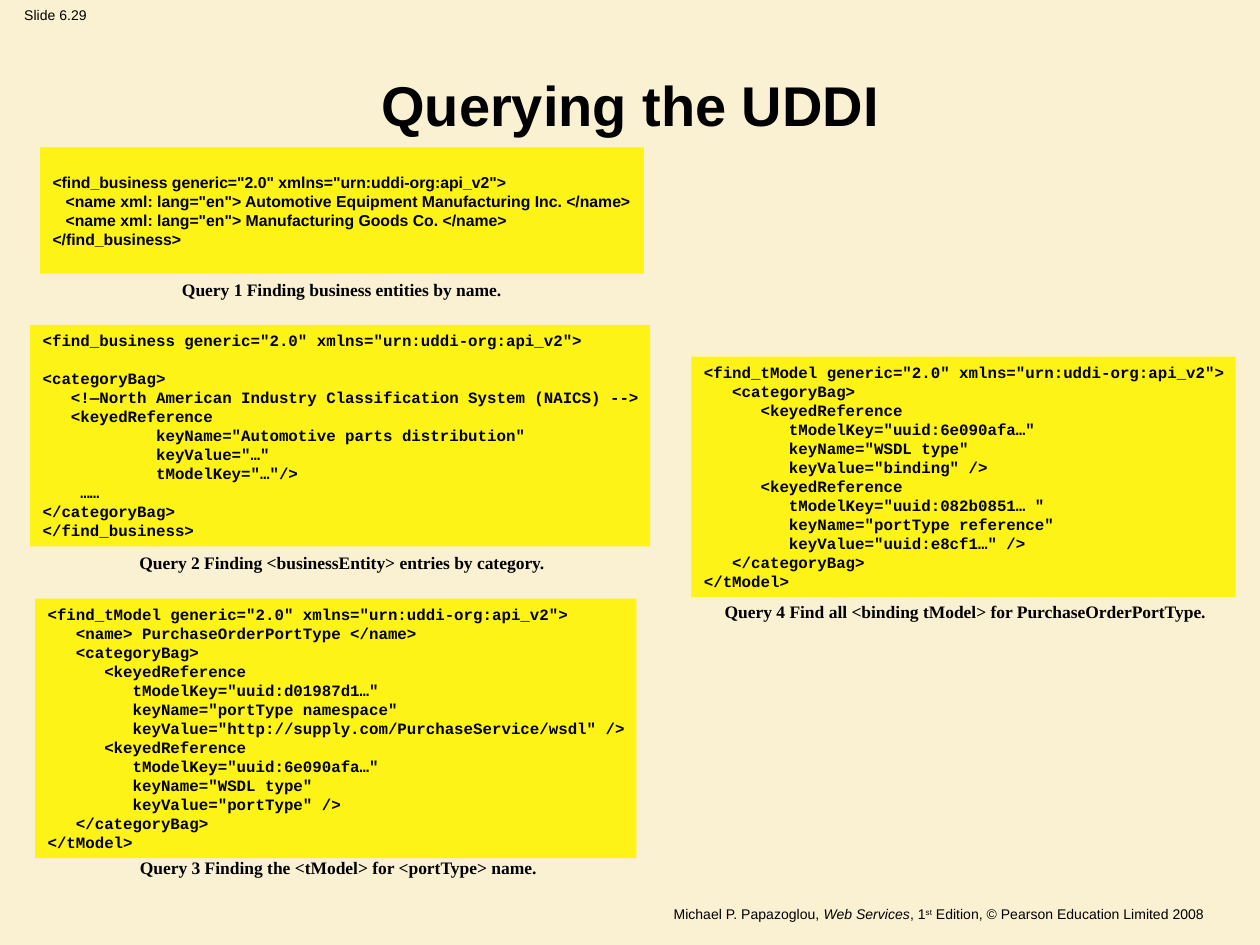
import pptx
import pptx.dml.color
import pptx.enum.shapes
import pptx.enum.text
import pptx.util
from pptx.util import Cm

PP_ALIGN = pptx.enum.text.PP_ALIGN
ANCHOR = pptx.enum.text.MSO_ANCHOR

# Content
TITLE = "Querying the UDDI"
SLIDE_LABEL = "Slide 6.29"
# (text, italic, superscript)
CREDIT = [
    ("Michael P. Papazoglou, ", False, False),
    ("Web Services", True, False),
    (", 1", False, False),
    ("st", False, True),
    (" Edition, © Pearson Education Limited 2008", False, False),
]
# Positions in cm; rows is the box height in code lines
QUERIES = [
    {
        "left": 0.81, "top": 2.97, "width": 12.17, "rows": 6, "font": "Arial",
        "code": """\
<find_business generic="2.0" xmlns="urn:uddi-org:api_v2">
   <name xml: lang="en"> Automotive Equipment Manufacturing Inc. </name>
   <name xml: lang="en"> Manufacturing Goods Co. </name>
</find_business>""",
        "caption": "Query 1 Finding business entities by name.",
        "caption_box": (3.38, 5.51, 7.01),
    },
    {
        "left": 0.61, "top": 6.55, "width": 12.5, "rows": 11, "font": "Courier New",
        "code": """\
<find_business generic="2.0" xmlns="urn:uddi-org:api_v2">

<categoryBag>
   <!—North American Industry Classification System (NAICS) -->
   <keyedReference
            keyName="Automotive parts distribution"
            keyValue="…"
            tModelKey="…"/>
    ……
</categoryBag>
</find_business>""",
        "caption": "Query 2 Finding <businessEntity> entries by category.",
        "caption_box": (2.51, 11.0, 8.76),
    },
    {
        "left": 0.71, "top": 12.07, "width": 12.12, "rows": 13, "font": "Courier New",
        "code": """\
<find_tModel generic="2.0" xmlns="urn:uddi-org:api_v2">
   <name> PurchaseOrderPortType </name>
   <categoryBag>
      <keyedReference
         tModelKey="uuid:d01987d1…"
         keyName="portType namespace"
         keyValue="http://supply.com/PurchaseService/wsdl" />
      <keyedReference
         tModelKey="uuid:6e090afa…"
         keyName="WSDL type"
         keyValue="portType" />
   </categoryBag>
</tModel>""",
        "caption": "Query 3 Finding the <tModel> for <portType> name.",
        "caption_box": (2.51, 17.15, 8.61),
    },
    {
        "left": 13.94, "top": 7.19, "width": 10.97, "rows": 12, "font": "Courier New",
        "code": """\
<find_tModel generic="2.0" xmlns="urn:uddi-org:api_v2">
   <categoryBag>
      <keyedReference
         tModelKey="uuid:6e090afa…"
         keyName="WSDL type"
         keyValue="binding" />
      <keyedReference
         tModelKey="uuid:082b0851… "
         keyName="portType reference"
         keyValue="uuid:e8cf1…" />
   </categoryBag>
</tModel>""",
        "caption": "Query 4 Find all <binding tModel> for PurchaseOrderPortType.",
        "caption_box": (14.3, 11.99, 10.31),
    },
]
LINE_PITCH = pptx.util.Pt(10.86)
BOX_MARGINS = Cm(0.25)
CAPTION_HEIGHT = 0.69


def color(value):
    return pptx.dml.color.RGBColor.from_string(value)


def add_run(paragraph, text, size, font="Arial", bold=False, italic=False):
    run = paragraph.add_run()
    run.text = text
    run.font.name = font
    run.font.size = pptx.util.Pt(size)
    run.font.bold = bold
    run.font.italic = italic
    run.font.color.rgb = color("000000")
    return run


def add_text_line(slide, left, top, width, height, alignment):
    """Add an unwrapped text box and return its paragraph."""
    box = slide.shapes.add_textbox(Cm(left), Cm(top), Cm(width), Cm(height))
    box.text_frame.word_wrap = False
    paragraph = box.text_frame.paragraphs[0]
    paragraph.alignment = alignment
    return paragraph


def add_query(slide, query):
    # Code box
    height = query["rows"] * LINE_PITCH + BOX_MARGINS
    box = slide.shapes.add_shape(
        pptx.enum.shapes.MSO_SHAPE.RECTANGLE,
        Cm(query["left"]), Cm(query["top"]), Cm(query["width"]), height)
    box.shadow.inherit = False
    box.fill.solid()
    box.fill.fore_color.rgb = color("FEF316")
    box.line.fill.background()
    frame = box.text_frame
    frame.word_wrap = False
    frame.vertical_anchor = ANCHOR.MIDDLE

    # Code lines; an empty line becomes space before the next one
    paragraph = frame.paragraphs[0]
    gap = 0
    for index, line in enumerate(query["code"].splitlines()):
        if not line:
            gap = LINE_PITCH
            continue
        if index:
            paragraph = frame.add_paragraph()
        paragraph.alignment = PP_ALIGN.LEFT
        paragraph.line_spacing = LINE_PITCH
        if gap:
            paragraph.space_before = gap
            gap = 0
        add_run(paragraph, line, 9, query["font"], bold=True)

    # Caption
    caption = add_text_line(slide, *query["caption_box"], CAPTION_HEIGHT, PP_ALIGN.CENTER)
    add_run(caption, query["caption"], 10, "Times New Roman", bold=True)


def main():
    presentation = pptx.Presentation()
    presentation.slide_width = Cm(25.4)
    presentation.slide_height = Cm(19.05)
    slide = presentation.slides.add_slide(presentation.slide_layouts[5])
    slide.background.fill.solid()
    slide.background.fill.fore_color.rgb = color("FAF0D2")

    # Slide label and credit line
    label = add_text_line(slide, 0, 0, 2.24, 0.61, PP_ALIGN.CENTER)
    add_run(label, SLIDE_LABEL, 8)
    credit = add_text_line(slide, 0.61, 18.14, 23.92, 0.53, PP_ALIGN.RIGHT)
    credit._parent.word_wrap = True
    for text, italic, superscript in CREDIT:
        run = add_run(credit, text, 8, italic=italic)
        if superscript:
            run.font._element.set("baseline", "30000")

    # Title
    title = slide.shapes.title
    title.left, title.top = Cm(0.43), Cm(0.79)
    title.width, title.height = Cm(24.56), Cm(2.11)
    title.text_frame.vertical_anchor = ANCHOR.BOTTOM
    paragraph = title.text_frame.paragraphs[0]
    paragraph.alignment = PP_ALIGN.CENTER
    add_run(paragraph, TITLE, 32, bold=True)

    # Queries with captions
    for query in QUERIES:
        add_query(slide, query)

    presentation.save("out.pptx")


if __name__ == "__main__":
    main()
